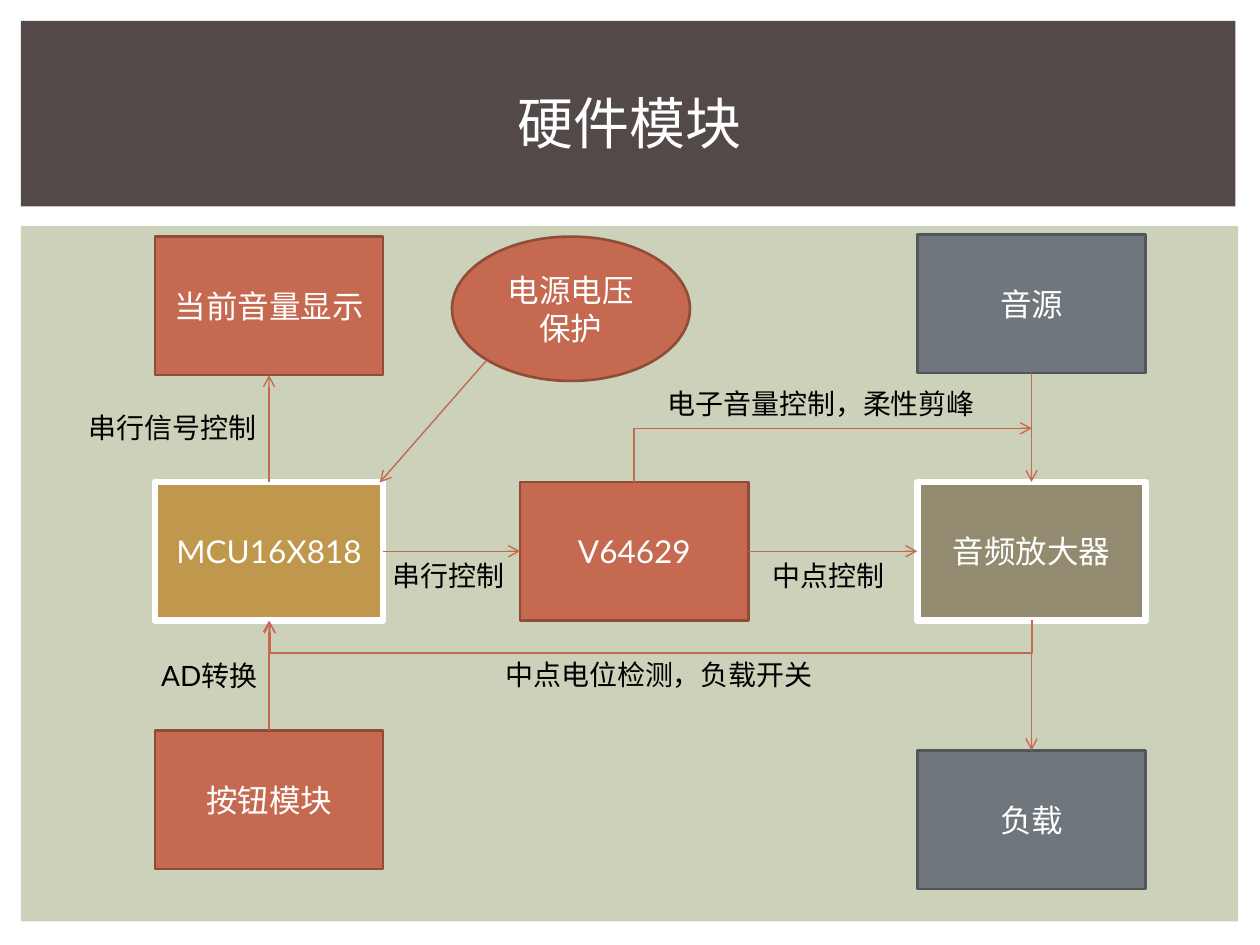
import pptx
import pptx.util
import pptx.dml.color
import pptx.enum.shapes
import pptx.enum.text
import pptx.oxml.ns
import pptx.oxml.xmlchemy

Pt = pptx.util.Pt
RGB = pptx.dml.color.RGBColor.from_string
SHAPE = pptx.enum.shapes.MSO_SHAPE
CONN = pptx.enum.shapes.MSO_CONNECTOR
ALIGN = pptx.enum.text.PP_ALIGN
ANCHOR = pptx.enum.text.MSO_ANCHOR
qn = pptx.oxml.ns.qn
OxmlElement = pptx.oxml.xmlchemy.OxmlElement

C = {
    "panel": "CCD1B9", "band": "534949", "white": "FFFFFF", "black": "000000",
    "red": "C66951", "red_edge": "914B39", "gold": "BF974D", "olive": "928B70",
    "gray": "6F777D", "gray_edge": "50565A",
}


def set_text(sp, text, size, font, color, align, anchor, wrap=True):
    tf = sp.text_frame
    fmt = {"word_wrap": wrap, "vertical_anchor": anchor, "margin_left": Pt(7.2),
           "margin_right": Pt(7.2), "margin_top": Pt(3.6), "margin_bottom": Pt(3.6)}
    for name, value in fmt.items():
        setattr(tf, name, value)
    p = tf.paragraphs[0]
    p.alignment = align
    r = p.add_run()
    r.text = text
    for name, value in {"size": Pt(size), "name": font}.items():
        setattr(r.font, name, value)
    r.font.color.rgb = RGB(C[color])


def add_arrow(kind, x1, y1, x2, y2):
    cn = s.shapes.add_connector(kind, Pt(x1), Pt(y1), Pt(x2), Pt(y2))
    cn.line.color.rgb = RGB(C["red"])
    cn.line.width = Pt(0.79)
    tail = OxmlElement("a:tailEnd")
    tail.set("type", "arrow")
    spPr = cn._element.spPr
    spPr.find(qn("a:ln")).append(tail)
    spPr.append(OxmlElement("a:effectLst"))
    return cn


prs = pptx.Presentation()
prs.slide_width, prs.slide_height = Pt(720), Pt(540)
s = prs.slides.add_slide(prs.slide_layouts[6])

for x, y, w, h, color in [(12, 129, 695.5, 397.5, "panel"), (12, 12, 694, 106, "band")]:
    sp = s.shapes.add_shape(SHAPE.RECTANGLE, Pt(x), Pt(y), Pt(w), Pt(h))
    sp.shadow.inherit = False
    sp.fill.solid()
    sp.fill.fore_color.rgb = RGB(C[color])
    sp.line.fill.background()

sp = s.shapes.add_textbox(Pt(30), Pt(28), Pt(660), Pt(83))
set_text(sp, "硬件模块", 32, "Cabin", "white", ALIGN.CENTER, ANCHOR.MIDDLE)

W, H = 130.5, 79.2
LEFT, MID, RIGHT, ROW = 88.5, 297.2, 524.2, 275.4
blocks = {}
for key, text, x, y, w, h, kind, fill, edge, weight in [
    ("mcu", "MCU16X818", LEFT, ROW, W, H, SHAPE.RECTANGLE, "gold", "white", 3.75),
    ("volume", "V64629", MID, ROW, W, H, SHAPE.RECTANGLE, "red", "red_edge", 1.5),
    ("amp", "音频放大器", RIGHT, ROW, W, H, SHAPE.RECTANGLE, "olive", "white", 3.75),
    ("source", "音源", RIGHT, 134, W, H, SHAPE.RECTANGLE, "gray", "gray_edge", 1.5),
    ("load", "负载", RIGHT, 428.8, W, H, SHAPE.RECTANGLE, "gray", "gray_edge", 1.5),
    ("display", "当前音量显示", LEFT, 135.2, W, H, SHAPE.RECTANGLE, "red", "red_edge", 1.5),
    ("buttons", "按钮模块", LEFT, 417.4, W, H, SHAPE.RECTANGLE, "red", "red_edge", 1.5),
    ("power", "电源电压保护", 258.3, 135.2, 136, 82.5, SHAPE.OVAL, "red", "red_edge", 1.5),
]:
    sp = s.shapes.add_shape(kind, Pt(x), Pt(y), Pt(w), Pt(h))
    sp.shadow.inherit = False
    sp.fill.solid()
    sp.fill.fore_color.rgb = RGB(C[fill])
    sp.line.color.rgb = RGB(C[edge])
    sp.line.width = Pt(weight)
    set_text(sp, text, 18, "Lato", "white", ALIGN.CENTER, ANCHOR.MIDDLE)
    blocks[key] = sp

for start, i, end, j in [
    ("source", 2, "amp", 0), ("amp", 2, "load", 0), ("mcu", 0, "display", 2),
    ("buttons", 0, "mcu", 2), ("mcu", 3, "volume", 1), ("volume", 3, "amp", 1),
]:
    cn = add_arrow(CONN.STRAIGHT, 0, 0, 0, 0)
    cn.begin_connect(blocks[start], i)
    cn.end_connect(blocks[end], j)

add_arrow(CONN.STRAIGHT, 278, 206, 217, 275.7)

for x1, y1, x2, y2, preset, adj in [
    (491.3, 373.75, 460.7, 146.45, "bentConnector2", None),
    (371.5, 136.9, 372.5, 572.5, "bentConnector3", 19),
]:
    cn = add_arrow(CONN.ELBOW, x1, y1, x2, y2)
    spPr = cn._element.spPr
    spPr.find(qn("a:xfrm")).set("rot", "5400000")
    geom = spPr.find(qn("a:prstGeom"))
    geom.set("prst", preset)
    if adj:
        gd = OxmlElement("a:gd")
        gd.set("name", "adj1")
        gd.set("fmla", f"val {adj * 100000}")
        geom.find(qn("a:avLst")).append(gd)

for text, x, y, w, align, wrap in [
    ("串行信号控制", 43.5, 231, 110, ALIGN.RIGHT, False),
    ("AD转换", 85, 373, 72, ALIGN.LEFT, True),
    ("串行控制", 217.5, 315.5, 78, ALIGN.LEFT, False),
    ("中点电位检测，负载开关", 281.8, 372.3, 190, ALIGN.LEFT, False),
    ("中点控制", 434.5, 315.5, 78, ALIGN.LEFT, False),
    ("电子音量控制，柔性剪峰", 374.5, 217.5, 190, ALIGN.LEFT, False),
]:
    sp = s.shapes.add_textbox(Pt(x), Pt(y), Pt(w), Pt(26.6))
    set_text(sp, text, 16, "Lato", "black", align, ANCHOR.TOP, wrap)

prs.save("out.pptx")
